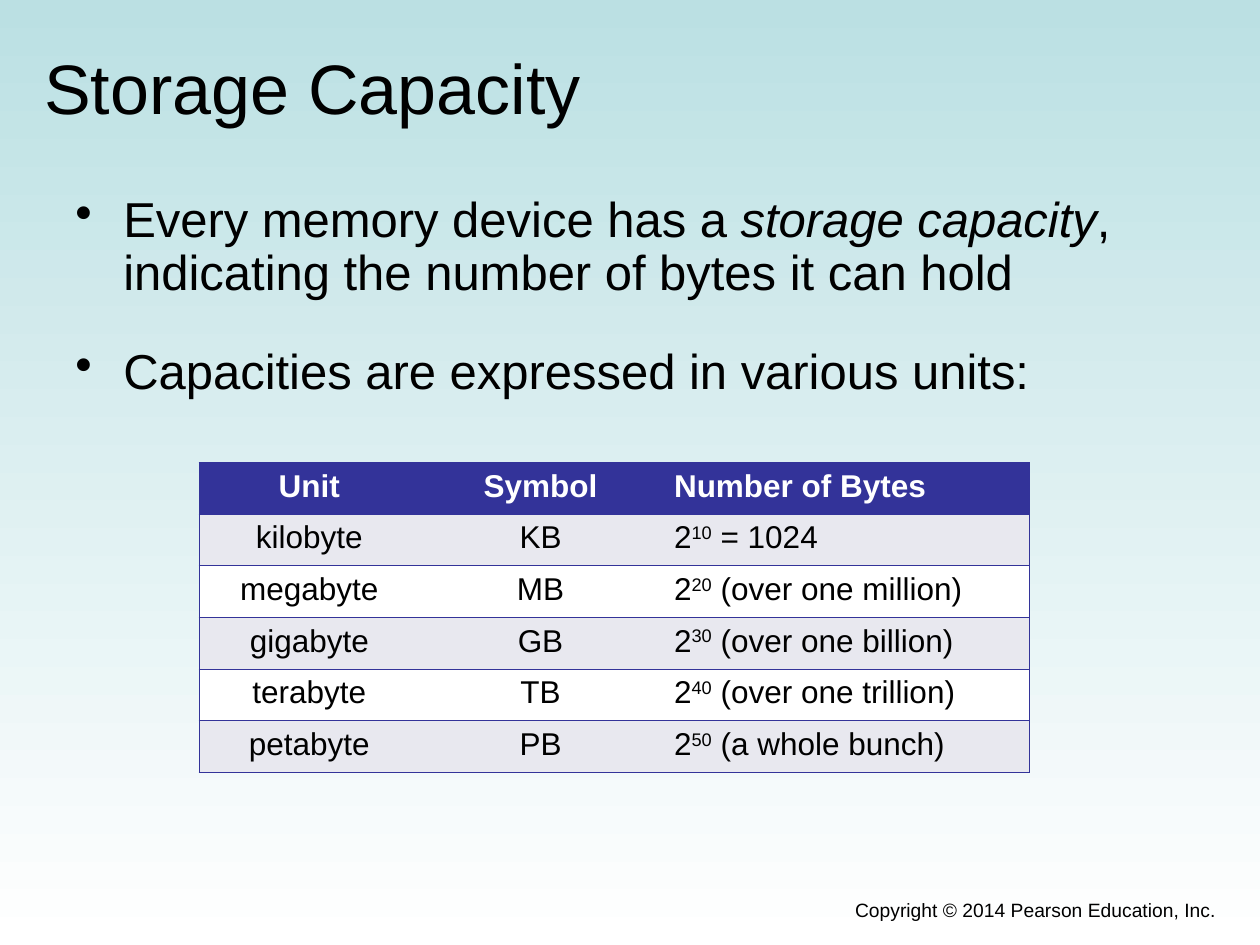
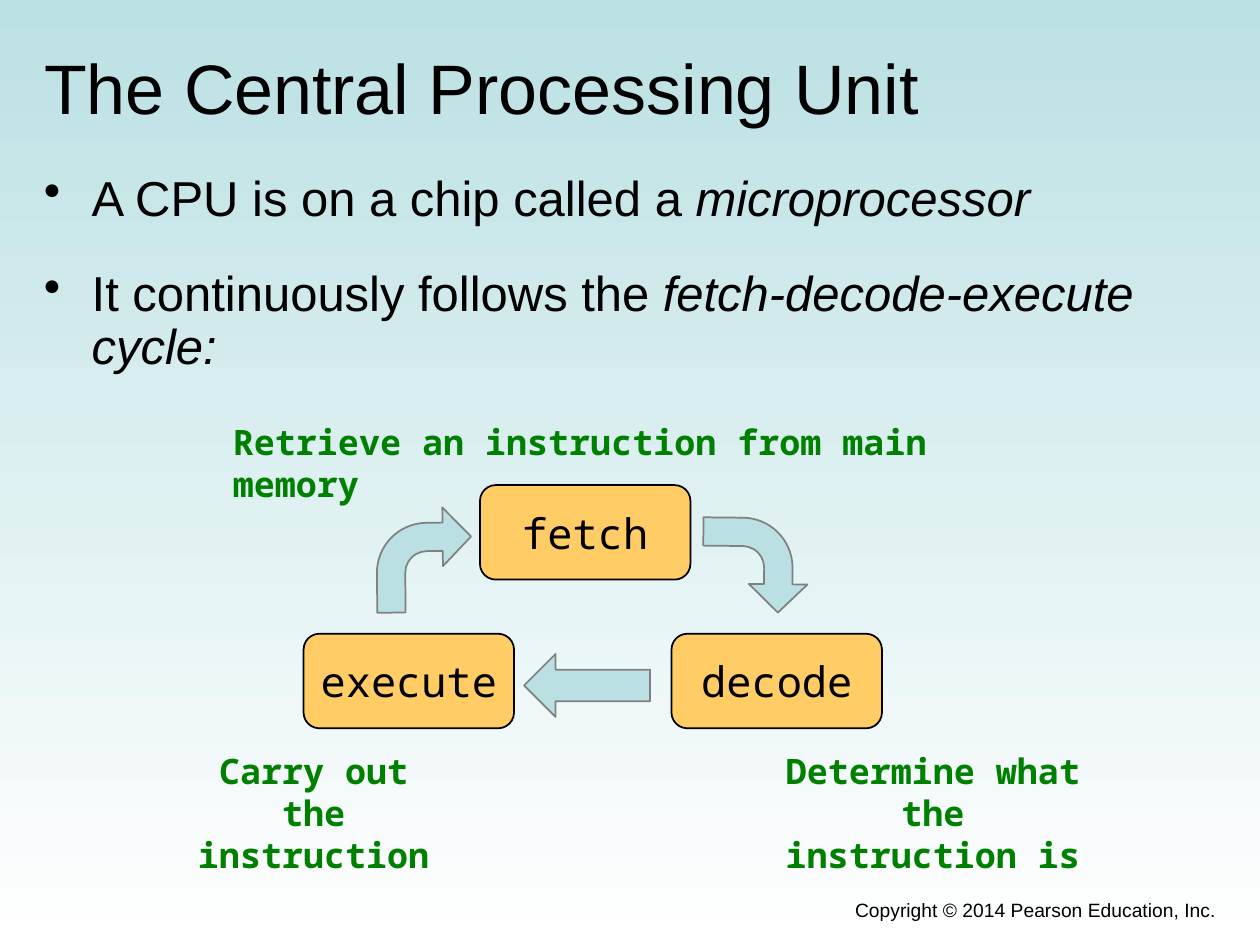
"""Build two slides on storage capacity and the central processing unit."""
from dataclasses import dataclass

from lxml import etree
from pptx import Presentation
from pptx import util as u
from pptx.dml.color import RGBColor
from pptx.enum import shapes, text
from pptx.oxml import ns

Inches = u.Inches


@dataclass(frozen=True)
class Theme:
    black: str = "000000"
    white: str = "FFFFFF"
    sky: str = "BBE0E3"
    navy: str = "333399"
    stripe: str = "E8E8EF"
    amber: str = "FFCC66"
    grey: str = "808080"
    green: str = "008000"
    sans: str = "Arial"
    mono: str = "Noto Sans Mono"
    title_size: float = 40
    body_size: float = 28
    step_size: float = 24
    caption_size: float = 20
    table_size: float = 18
    footer_size: float = 11
    border: float = 0.45


class Deck:
    """Hold the theme and the current slide."""

    footer = "Copyright © 2014 Pearson Education, Inc."

    def __init__(self, theme):
        self.theme = theme
        self.presentation = Presentation()
        self.presentation.slide_width = Inches(10)
        self.presentation.slide_height = Inches(7.5)
        fill = self.presentation.slide_master.background.fill
        fill.gradient()
        fill.gradient_angle = 270
        for stop, position, colour in zip(fill.gradient_stops, (0, 1), (theme.sky, theme.white)):
            stop.position = position
            stop.color.rgb = RGBColor.from_string(colour)

    def new_slide(self, title):
        self.slide = self.presentation.slides.add_slide(self.presentation.slide_layouts[5])
        shape = self.slide.shapes.title
        shape.left, shape.top = Inches(0.25), Inches(0.3)
        shape.width, shape.height = Inches(9.5), Inches(0.78)
        shape.text_frame.vertical_anchor = text.MSO_ANCHOR.MIDDLE
        self.add_runs(shape.text_frame.paragraphs[0], [title], self.theme.title_size)
        self.text_box((3.67, 7.08, 6.08, 0.34), [[self.footer]], self.theme.footer_size,
                      align=text.PP_ALIGN.RIGHT)

    def add_runs(self, paragraph, parts, size, colour=None, font=None, bold=False,
                 align=text.PP_ALIGN.LEFT):
        paragraph.alignment = align
        for part in parts:
            content, style = (part, "") if isinstance(part, str) else part
            run = paragraph.add_run()
            run.text = content
            run.font.size = u.Pt(size)
            run.font.name = font or self.theme.sans
            run.font.bold = bold
            run.font.italic = style == "italic"
            run.font.color.rgb = RGBColor.from_string(colour or self.theme.black)
            if style == "superscript":
                run.font._element.set("baseline", "30000")

    def text_box(self, box, paragraphs, size, **style):
        shape = self.slide.shapes.add_textbox(*map(Inches, box))
        frame = shape.text_frame
        frame.word_wrap = True
        for index, parts in enumerate(paragraphs):
            paragraph = frame.add_paragraph() if index else frame.paragraphs[0]
            self.add_runs(paragraph, parts, size, **style)
        return frame

    def bullets(self, box, items, gap):
        frame = self.text_box(box, items, self.theme.body_size)
        for index, paragraph in enumerate(frame.paragraphs):
            properties = paragraph._p.get_or_add_pPr()
            properties.set("marL", str(Inches(0.38)))
            properties.set("indent", str(-Inches(0.38)))
            etree.SubElement(properties, ns.qn("a:buChar"), char="•")
            paragraph.line_spacing = 0.9
            if index:
                paragraph.space_before = u.Pt(gap)

    def caption(self, box, *lines, align=text.PP_ALIGN.CENTER):
        self.text_box(box, [[line] for line in lines], self.theme.caption_size,
                      colour=self.theme.green, font=self.theme.mono, bold=True, align=align)

    def shape(self, kind, box, fill, line, adjustments=(), rotation=0):
        shape = self.slide.shapes.add_shape(kind, *map(Inches, box))
        shape.shadow.inherit = False
        shape.fill.solid()
        shape.fill.fore_color.rgb = RGBColor.from_string(fill)
        shape.line.color.rgb = RGBColor.from_string(line)
        shape.line.width = u.Pt(1)
        shape.rotation = rotation
        for index, value in enumerate(adjustments):
            shape.adjustments[index] = value
        return shape

    def arrow(self, kind, box, adjustments, rotation=0):
        self.shape(kind, box, self.theme.sky, self.theme.grey, adjustments, rotation)

    def step(self, label, left, top):
        shape = self.shape(shapes.MSO_SHAPE.ROUNDED_RECTANGLE, (left, top, 1.67, 0.75),
                           self.theme.amber, self.theme.black)
        frame = shape.text_frame
        frame.word_wrap = False
        frame.vertical_anchor = text.MSO_ANCHOR.MIDDLE
        self.add_runs(frame.paragraphs[0], [label], self.theme.step_size, font=self.theme.mono,
                      align=text.PP_ALIGN.CENTER)

    def borders(self, cell, visible):
        properties = cell._tc.get_or_add_tcPr()
        for side in "LRTB":
            line = etree.SubElement(properties, ns.qn("a:ln" + side),
                                    w=str(u.Pt(self.theme.border)))
            if side in visible:
                fill = etree.SubElement(line, ns.qn("a:solidFill"))
                etree.SubElement(fill, ns.qn("a:srgbClr"), val=self.theme.navy)
            else:
                etree.SubElement(line, ns.qn("a:noFill"))

    def table(self, left, top, widths, row_height, rows):
        theme = self.theme
        last = len(widths) - 1
        table = self.slide.shapes.add_table(
            len(rows), len(widths), Inches(left), Inches(top),
            Inches(sum(widths)), Inches(row_height * len(rows))).table
        table.horz_banding = False
        for column, width in zip(table.columns, widths):
            column.width = Inches(width)
        for row_index, row in enumerate(rows):
            table.rows[row_index].height = Inches(row_height)
            header = row_index == 0
            band = theme.stripe if row_index % 2 else theme.white
            for column_index, parts in enumerate(row):
                cell = table.cell(row_index, column_index)
                self.borders(cell, "TB" + {0: "L", last: "R"}.get(column_index, ""))
                cell.fill.solid()
                cell.fill.fore_color.rgb = RGBColor.from_string(theme.navy if header else band)
                align = text.PP_ALIGN.LEFT if column_index == last else text.PP_ALIGN.CENTER
                self.add_runs(cell.text_frame.paragraphs[0], parts, theme.table_size,
                              colour=theme.white if header else theme.black,
                              bold=header, align=align)


def storage_slide(deck):
    deck.new_slide("Storage Capacity")
    deck.bullets((0.5, 1.5, 9.08, 1.81), [
        ["Every memory device has a ", ("storage capacity", "italic"),
         ", indicating the number of bytes it can hold"],
        ["Capacities are expressed in various units:"],
    ], gap=26.2)
    units = [
        ("kilobyte", "KB", " = 1024"),
        ("megabyte", "MB", " (over one million)"),
        ("gigabyte", "GB", " (over one billion)"),
        ("terabyte", "TB", " (over one trillion)"),
        ("petabyte", "PB", " (a whole bunch)"),
    ]
    rows = [[["Unit"], ["Symbol"], ["Number of Bytes"]]]
    for power, (name, symbol, note) in enumerate(units, start=1):
        rows.append([[name], [symbol], ["2", (str(10 * power), "superscript"), note]])
    deck.table(1.58, 3.67, (1.75, 1.92, 2.92), 0.41, rows)


def processor_slide(deck):
    deck.new_slide("The Central Processing Unit")
    deck.bullets((0.25, 1.33, 9.33, 1.83), [
        ["A CPU is on a chip called a ", ("microprocessor", "italic")],
        ["It continuously follows the ", ("fetch-decode-execute cycle:", "italic")],
    ], gap=24.5)
    bend = (0.3, 0.31, 0.3, 0.53)
    deck.arrow(shapes.MSO_SHAPE.BENT_ARROW, (2.99, 4.03, 0.75, 0.83), bend, 359.4)
    deck.arrow(shapes.MSO_SHAPE.BENT_ARROW, (5.62, 4.07, 0.75, 0.83), bend, 90.6)
    deck.arrow(shapes.MSO_SHAPE.LEFT_ARROW, (4.16, 5.19, 1, 0.5), (0.5, 0.5))
    for label, left, top in (("fetch", 3.81, 3.85), ("decode", 5.33, 5.03),
                             ("execute", 2.41, 5.03)):
        deck.step(label, left, top)
    deck.caption((1.75, 3.29, 6.18, 0.44), "Retrieve an instruction from main memory",
                 align=text.PP_ALIGN.LEFT)
    deck.caption((5.9, 5.9, 3.01, 0.77), "Determine what the", "instruction is")
    deck.caption((1.47, 5.9, 2.04, 0.77), "Carry out the", "instruction")


def main():
    deck = Deck(Theme())
    storage_slide(deck)
    processor_slide(deck)
    deck.presentation.save("out.pptx")


if __name__ == "__main__":
    main()
